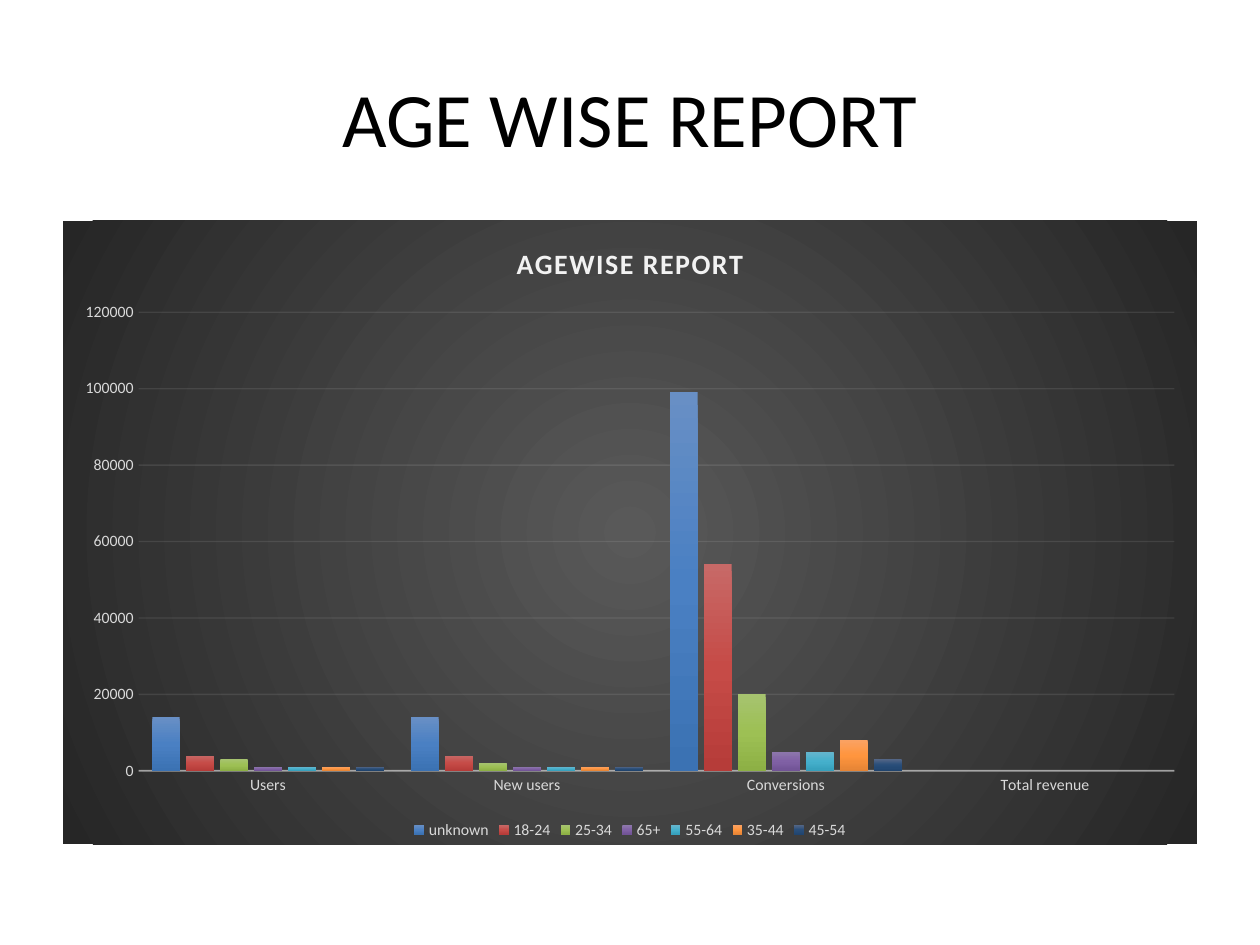
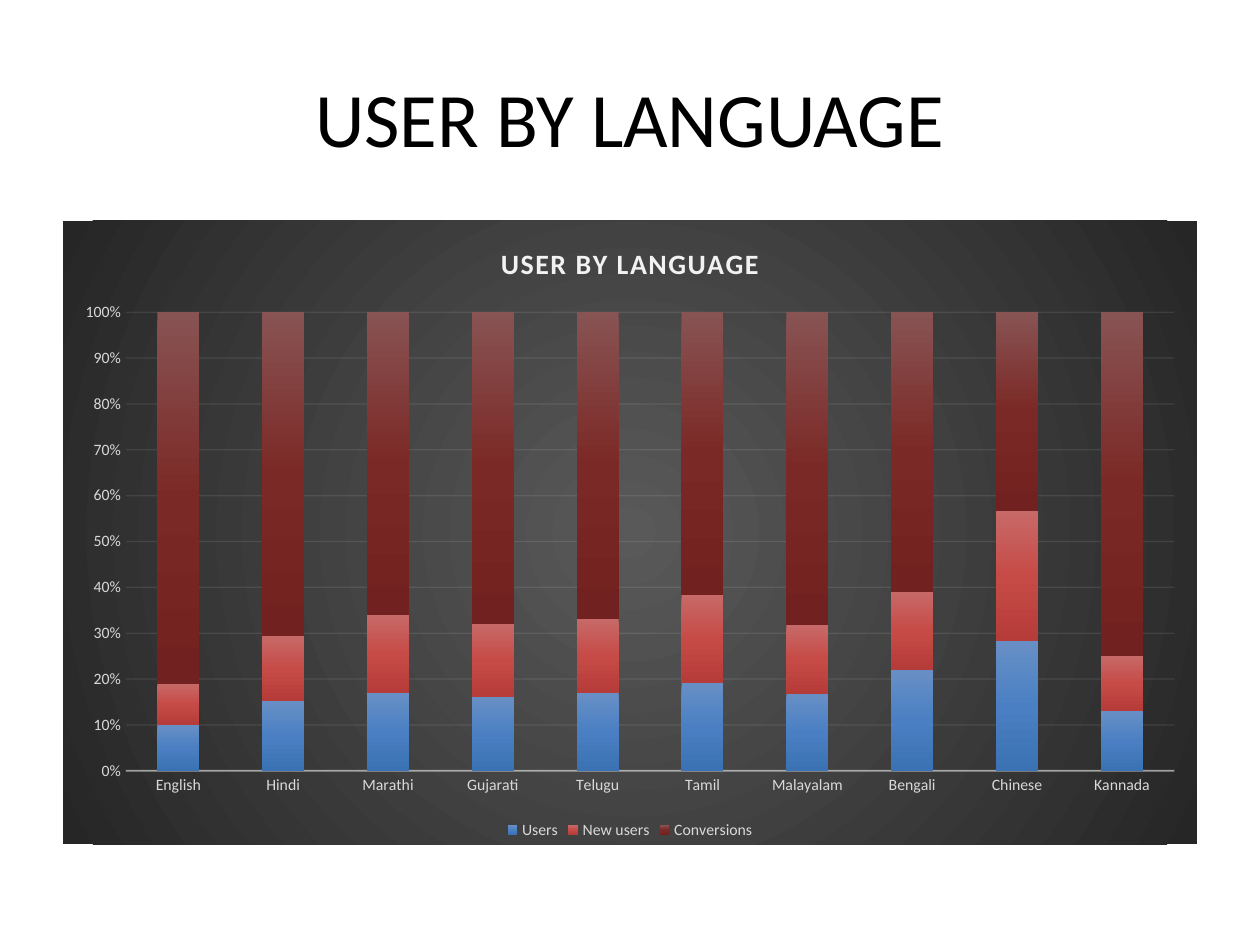
from lxml import etree
from pptx import Presentation
from pptx.chart.data import CategoryChartData
from pptx.dml.color import RGBColor
from pptx.enum.chart import XL_CHART_TYPE, XL_LEGEND_POSITION, XL_TICK_MARK
from pptx.enum.text import MSO_ANCHOR, PP_ALIGN
from pptx.oxml import parse_xml
from pptx.oxml.ns import nsdecls, qn
from pptx.util import Inches, Pt

CLUSTER = XL_CHART_TYPE.COLUMN_CLUSTERED
STACK = XL_CHART_TYPE.COLUMN_STACKED_100
BOTTOM = XL_LEGEND_POSITION.BOTTOM
NO_TICK = XL_TICK_MARK.NONE
MIDDLE = MSO_ANCHOR.MIDDLE
CENTER = PP_ALIGN.CENTER

FONT = "Calibri"
BLACK = RGBColor(0x00, 0x00, 0x00)
WHITE = RGBColor(0xFF, 0xFF, 0xFF)
PALE = RGBColor(0xF2, 0xF2, 0xF2)
LABEL = RGBColor(0xD9, 0xD9, 0xD9)
PANEL = RGBColor(0x59, 0x59, 0x59), RGBColor(0x26, 0x26, 0x26)
BLUE = RGBColor(0x68, 0x8F, 0xC5), RGBColor(0x4A, 0x80, 0xC3), RGBColor(0x3B, 0x72, 0xB3)
RED = RGBColor(0xC7, 0x69, 0x67), RGBColor(0xC6, 0x4B, 0x47), RGBColor(0xB6, 0x3C, 0x39)
GREEN = RGBColor(0xA6, 0xC3, 0x6F), RGBColor(0x9D, 0xC0, 0x54), RGBColor(0x8D, 0xB0, 0x45)
PURPLE = RGBColor(0x8E, 0x78, 0xAC), RGBColor(0x80, 0x61, 0xA5), RGBColor(0x71, 0x53, 0x96)
TEAL = RGBColor(0x66, 0xB5, 0xCD), RGBColor(0x45, 0xB0, 0xCC), RGBColor(0x36, 0xA0, 0xBC)
ORANGE = RGBColor(0xFA, 0xA2, 0x63), RGBColor(0xFF, 0x95, 0x3E), RGBColor(0xE5, 0x84, 0x35)
NAVY = RGBColor(0x53, 0x66, 0x86), RGBColor(0x28, 0x4D, 0x79), RGBColor(0x20, 0x44, 0x6E)
MAROON = RGBColor(0x88, 0x53, 0x53), RGBColor(0x7B, 0x29, 0x26), RGBColor(0x71, 0x21, 0x1F)

WIDTH, HEIGHT = Inches(10), Inches(7.5)
COLS, ROWS = 20, 150
HEAD_BOX = 1, 6, 18, 25      # left, top, width, height in grid units
CHART_BOX = 1, 35, 18, 99

LINEAR = '<a:lin ang="5400000" scaled="0"/>'
RADIAL = '<a:path path="circle"><a:fillToRect l="50000" t="50000" r="50000" b="50000"/></a:path>'

AGES = dict(
    kind=CLUSTER, gap=100, overlap=-24, top=120000, step=20000, form="General",
    cats=["Users", "New users", "Conversions", "Total revenue"],
    series=[
        ("unknown", BLUE, [14000, 14000, 99000, 0]),
        ("18-24", RED, [4000, 4000, 54000, 0]),
        ("25-34", GREEN, [3000, 2000, 20000, 0]),
        ("65+", PURPLE, [1000, 1000, 5000, 0]),
        ("55-64", TEAL, [1000, 1000, 5000, 0]),
        ("35-44", ORANGE, [1000, 1000, 8000, 0]),
        ("45-54", NAVY, [1000, 1000, 3000, 0]),
    ])
TONGUES = dict(
    kind=STACK, gap=150, overlap=100, top=1, step=0.1, form="0%",
    cats=["English", "Hindi", "Marathi", "Gujarati", "Telugu",
          "Tamil", "Malayalam", "Bengali", "Chinese", "Kannada"],
    series=[
        ("Users", BLUE, [10, 15, 17, 16, 17, 19, 17, 22, 28, 13]),
        ("New users", RED, [9, 14, 17, 16, 16, 19, 15, 17, 28, 12]),
        ("Conversions", MAROON, [81, 70, 66, 68, 67, 61, 69, 61, 43, 75]),
    ])


def place(box):
    """Turn a box in grid units into slide lengths."""
    left, top, width, height = box
    return (WIDTH * left // COLS, HEIGHT * top // ROWS,
            WIDTH * width // COLS, HEIGHT * height // ROWS)


def blend(colors, course):
    """Return a gradient fill with evenly spaced stops."""
    last = len(colors) - 1
    stops = "".join(
        f'<a:gs pos="{100000 * i // last}"><a:srgbClr val="{color}"/></a:gs>'
        for i, color in enumerate(colors))
    return parse_xml(f'<a:gradFill {nsdecls("a")} rotWithShape="1">'
                     f'<a:gsLst>{stops}</a:gsLst>{course}</a:gradFill>')


def style_font(font, size, color, bold=False):
    font.name, font.size, font.bold = FONT, Pt(size), bold
    font.color.rgb = color


def style_line(line, width, opacity):
    line.width = Pt(width)
    line.color.rgb = PALE
    tint = line._get_or_add_ln().find(".//" + qn("a:srgbClr"))
    etree.SubElement(tint, qn("a:alpha")).set("val", str(opacity * 1000))


def add_head(slide, text, box):
    head = slide.shapes.title
    head.left, head.top, head.width, head.height = place(box)
    frame = head.text_frame
    frame.text = text
    frame.vertical_anchor = MIDDLE
    line = frame.paragraphs[0]
    line.alignment = CENTER
    style_font(line.runs[0].font, 44, BLACK)


def fill_panel(chart):
    area = parse_xml(f'<c:spPr {nsdecls("c", "a")}><a:ln><a:noFill/></a:ln></c:spPr>')
    area.insert(0, blend(PANEL, RADIAL))
    chart._chartSpace.find(qn("c:chart")).addnext(area)


def style_title(chart, text):
    frame = chart.chart_title.text_frame
    frame.text = text
    run = frame.paragraphs[0].runs[0]
    style_font(run.font, 16, PALE, bold=True)
    run._r.get_or_add_rPr().set("spc", "100")
    chart.chart_title.include_in_layout = False


def style_axes(chart, spec):
    cats, vals = chart.category_axis, chart.value_axis
    for axis in (cats, vals):
        axis.major_tick_mark = axis.minor_tick_mark = NO_TICK
        style_font(axis.tick_labels.font, 9, LABEL)
    style_line(cats.format.line, 1, 54)
    vals.format.line.fill.background()
    style_line(vals.major_gridlines.format.line, 0.75, 10)
    vals.minimum_scale, vals.maximum_scale = 0, spec["top"]
    vals.major_unit = spec["step"]
    vals.tick_labels.number_format = spec["form"]
    vals.tick_labels.number_format_is_linked = False


def add_bars(slide, text, spec, box):
    data = CategoryChartData()
    data.categories = spec["cats"]
    for name, _, values in spec["series"]:
        data.add_series(name, values)
    chart = slide.shapes.add_chart(spec["kind"], *place(box), data).chart
    style_font(chart.font, 10, BLACK)
    fill_panel(chart)
    style_title(chart, text)
    style_axes(chart, spec)
    chart.has_legend = True
    chart.legend.position = BOTTOM
    chart.legend.include_in_layout = False
    style_font(chart.legend.font, 9, LABEL)
    plot = chart.plots[0]
    plot.gap_width, plot.overlap = spec["gap"], spec["overlap"]
    plot.vary_by_categories = False
    for bar, (_, colors, _) in zip(plot.series, spec["series"]):
        bar._element.get_or_add_spPr().insert(0, blend(colors, LINEAR))


def add_report(deck, head, title, spec):
    slide = deck.slides.add_slide(deck.slide_layouts.get_by_name("Title Only"))
    back = slide.background.fill
    back.solid()
    back.fore_color.rgb = WHITE
    add_head(slide, head, HEAD_BOX)
    add_bars(slide, title, spec, CHART_BOX)


def main():
    deck = Presentation()
    deck.slide_width, deck.slide_height = WIDTH, HEIGHT
    add_report(deck, "AGE WISE REPORT", "AGEWISE REPORT", AGES)
    add_report(deck, "USER BY LANGUAGE", "USER BY LANGUAGE", TONGUES)
    deck.save("out.pptx")


if __name__ == "__main__":
    main()
